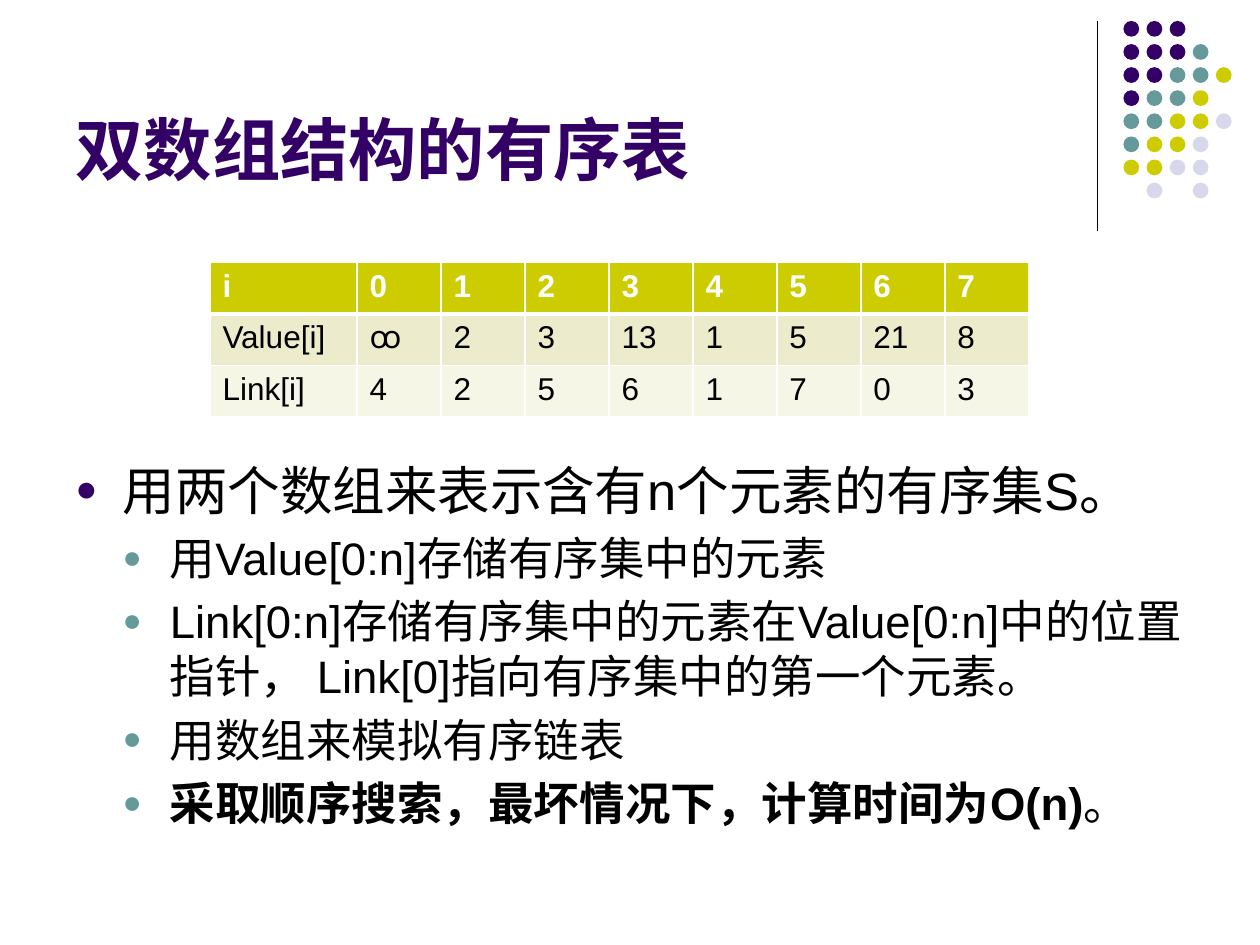
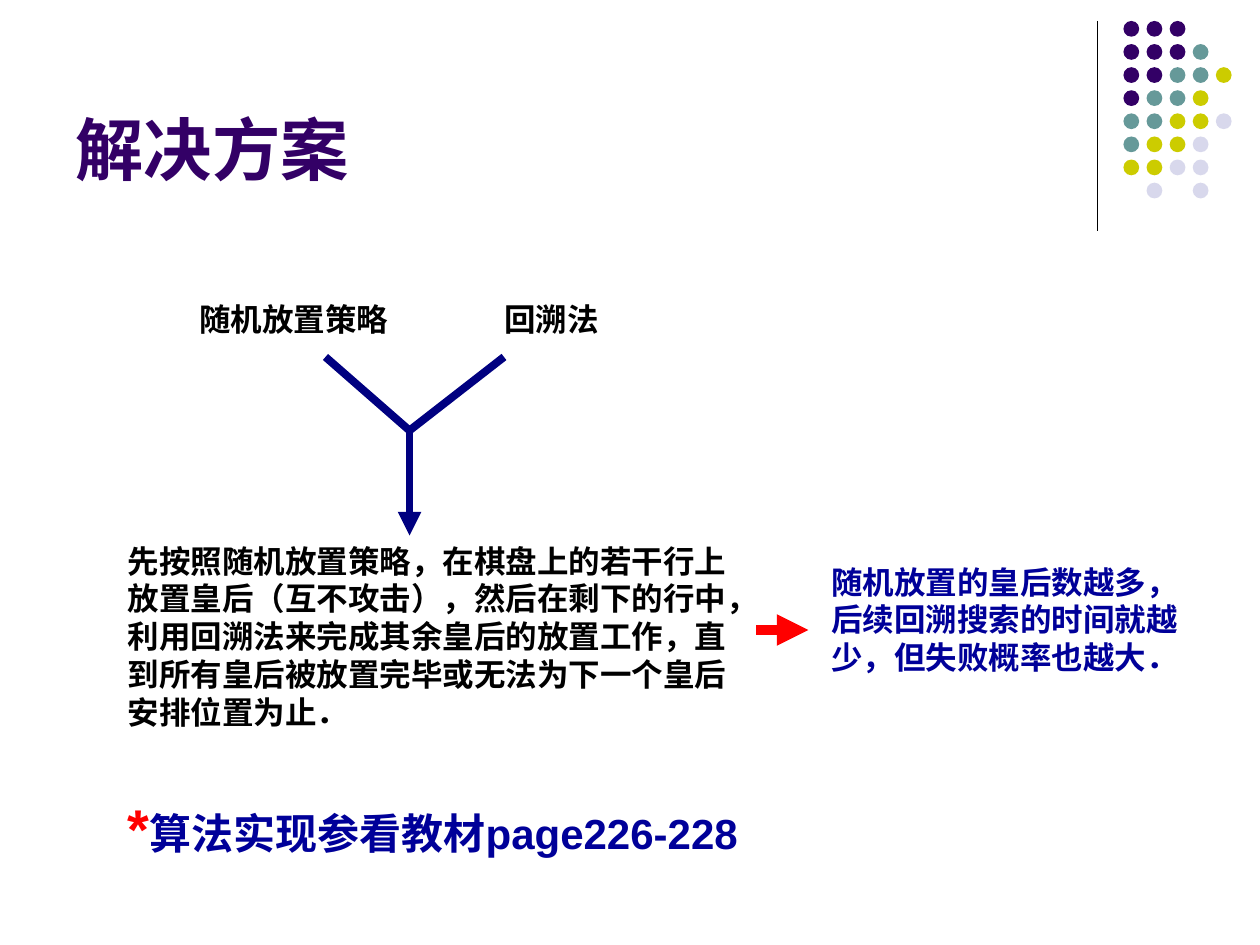
import pptx
import pptx.util
import pptx.dml.color
import pptx.enum.lang
import pptx.enum.shapes
import pptx.enum.text
import pptx.oxml.ns
import pptx.oxml.xmlchemy

RGB = pptx.dml.color.RGBColor
PURPLE = RGB(0x33, 0x00, 0x66)
TEAL = RGB(0x66, 0x99, 0x99)
OLIVE = RGB(0xCC, 0xCC, 0x00)
LILAC = RGB(0xD8, 0xD8, 0xEC)
VALUE_FILL = RGB(0xEC, 0xEC, 0xCC)
LINK_FILL = RGB(0xF6, 0xF6, 0xE7)
NAVY = RGB(0x00, 0x00, 0x80)
BLUE = RGB(0x00, 0x00, 0x99)
RED = RGB(0xFF, 0x00, 0x00)
BLACK = RGB(0x00, 0x00, 0x00)
WHITE = RGB(0xFF, 0xFF, 0xFF)

FONT = "Arial"
ALIGN = pptx.enum.text.PP_ALIGN
DOT_COLORS = {"P": PURPLE, "T": TEAL, "O": OLIVE, "L": LILAC}
DOT_ROWS = ["PPP", "PPPT", "PPTTO", "PTTO", "TTOOL", "TOOL", "OOLL", " L L"]


def px(n):
    """120 px to the inch."""
    return pptx.util.Emu(n * 7620)


def add_child(parent, tag, **attrs):
    child = pptx.oxml.xmlchemy.OxmlElement(tag)
    for name, value in attrs.items():
        child.set(name, str(value))
    parent.append(child)
    return child


def add_run(p, text, size, color=BLACK, bold=False):
    r = p.add_run()
    r.text = text
    r.font.name = FONT
    r.font.size = pptx.util.Pt(size)
    r.font.bold = bold
    r.font.color.rgb = color
    r.font.language_id = pptx.enum.lang.MSO_LANGUAGE_ID.SIMPLIFIED_CHINESE


def add_text(s, box, runs, align=ALIGN.LEFT):
    tf = s.shapes.add_textbox(*map(px, box)).text_frame
    tf.word_wrap = True
    p = tf.paragraphs[0]
    p.alignment = align
    for run in runs:
        add_run(p, *run)


def add_line(s, start, end, color, width, arrow=False):
    c = s.shapes.add_connector(pptx.enum.shapes.MSO_CONNECTOR.STRAIGHT,
                               *map(px, start + end))
    c.line.color.rgb = color
    c.line.width = pptx.util.Pt(width)
    sp_pr = c._element.spPr
    if arrow:
        add_child(sp_pr.find(pptx.oxml.ns.qn("a:ln")), "a:tailEnd",
                  type="triangle")
    add_child(sp_pr, "a:effectLst")


def add_dots(s, left, top, size=15, pitch=22):
    group = s.shapes.add_group_shape()
    for row, keys in enumerate(DOT_ROWS):
        for col, key in enumerate(keys):
            if key == " ":
                continue
            dot = group.shapes.add_shape(
                pptx.enum.shapes.MSO_SHAPE.OVAL, px(left + col * pitch),
                px(top + row * pitch), px(size), px(size))
            dot.shadow.inherit = False
            dot.fill.solid()
            dot.fill.fore_color.rgb = DOT_COLORS[key]
            dot.line.fill.background()


def add_titled_slide(prs, title):
    s = prs.slides.add_slide(prs.slide_layouts[5])
    # Corner decoration
    add_line(s, (1045, 20), (1045, 220), BLACK, 0.75)
    add_dots(s, 1070, 20)
    # Title
    sp = s.shapes.title
    sp.left, sp.top, sp.width, sp.height = map(px, (60, 16, 990, 170))
    tf = sp.text_frame
    tf.auto_size = pptx.enum.text.MSO_AUTO_SIZE.NONE
    tf.vertical_anchor = pptx.enum.text.MSO_ANCHOR.BOTTOM
    tf.paragraphs[0].alignment = ALIGN.LEFT
    add_run(tf.paragraphs[0], title, 39, PURPLE, True)
    return s


def set_borders(cell, widths):
    tc_pr = cell._tc.get_or_add_tcPr()
    for side, width in zip("LRTB", widths):
        ln = add_child(tc_pr, "a:ln" + side, w=pptx.util.Pt(width))
        add_child(add_child(ln, "a:solidFill"), "a:srgbClr", val=WHITE)


def add_array_table(s, left, top, rows, label_w=140, col_w=80, row_h=49):
    fills = [OLIVE, VALUE_FILL, LINK_FILL]
    n_cols = len(rows[0])
    table = s.shapes.add_table(
        len(rows), n_cols, px(left), px(top),
        px(label_w + col_w * (n_cols - 1)), px(row_h * len(rows))).table
    for i, column in enumerate(table.columns):
        column.width = px(col_w if i else label_w)
    for i, values in enumerate(rows):
        header = i == 0
        table.rows[i].height = px(row_h)
        for j, value in enumerate(values):
            cell = table.cell(i, j)
            set_borders(cell, (1, 1, 3 if i == 1 else 1, 3 if header else 1))
            cell.fill.solid()
            cell.fill.fore_color.rgb = fills[i]
            add_run(cell.text_frame.paragraphs[0], value, 18,
                    WHITE if header else BLACK, header)


def add_bullets(s, box, items):
    tf = s.shapes.add_textbox(*map(px, box)).text_frame
    tf.word_wrap = True
    for i, (level, runs) in enumerate(items):
        p = tf.paragraphs[0] if i == 0 else tf.add_paragraph()
        size, color = [(30, PURPLE), (26, TEAL)][level]
        p.level = level
        p.space_before = pptx.util.Pt(size * 0.2)
        p_pr = p._p.get_or_add_pPr()
        p_pr.set("marL", str(px(45 * (level + 1))))
        p_pr.set("indent", str(px(-45)))
        add_child(add_child(p_pr, "a:buClr"), "a:srgbClr", val=color)
        add_child(p_pr, "a:buSzPct", val=70000)
        add_child(p_pr, "a:buFont", typeface=FONT)
        add_child(p_pr, "a:buChar", char="●")
        for text, bold in runs:
            add_run(p, text, size, BLACK, bold)


def add_merge_diagram(s, left, top):
    """Two strategies that join into one combined method."""
    add_text(s, (left + 50, top, 240, 48),
             [("随机放置策略", 18, BLACK, True)], ALIGN.CENTER)
    add_text(s, (left + 340, top, 150, 48),
             [("回溯法", 18, BLACK, True)], ALIGN.CENTER)
    joint = (left + 280, top + 130)
    add_line(s, (left + 200, top + 60), joint, NAVY, 4.5)
    add_line(s, joint, (left + 370, top + 60), NAVY, 4.5)
    add_line(s, joint, (left + 280, top + 230), NAVY, 4.5, True)
    add_text(s, (left, top + 230, 610, 192), [(
        "先按照随机放置策略，在棋盘上的若干行上放置皇后（互不攻击），"
        "然后在剩下的行中，利用回溯法来完成其余皇后的放置工作，"
        "直到所有皇后被放置完毕或无法为下一个皇后安排位置为止．",
        18, BLACK, True)])


def build_ordered_list(prs):
    s = add_titled_slide(prs, "双数组结构的有序表")
    add_bullets(s, (60, 430, 1080, 374), [
        (0, [("用两个数组来表示含有n个元素的有序集S。", False)]),
        (1, [("用Value[0:n]存储有序集中的元素", False)]),
        (1, [("Link[0:n]存储有序集中的元素在Value[0:n]中的位置指针， "
              "Link[0]指向有序集中的第一个元素。", False)]),
        (1, [("用数组来模拟有序链表", False)]),
        (1, [("采取顺序搜索，最坏情况下，计算时间为O(n)", True), ("。", False)]),
    ])
    add_array_table(s, 200, 250, [
        ["i", "0", "1", "2", "3", "4", "5", "6", "7"],
        ["Value[i]", "ꝏ", "2", "3", "13", "1", "5", "21", "8"],
        ["Link[i]", "4", "2", "5", "6", "1", "7", "0", "3"],
    ])


def build_solution(prs):
    s = add_titled_slide(prs, "解决方案")
    add_merge_diagram(s, 110, 280)
    # Consequence
    add_line(s, (720, 600), (770, 600), RED, 6, True)
    add_text(s, (780, 530, 370, 120), [(
        "随机放置的皇后数越多，后续回溯搜索的时间就越少，但失败概率也越大．",
        18, BLUE, True)])
    # Textbook reference
    add_text(s, (110, 750, 890, 76), [
        ("*", 32, RED, True),
        ("算法实现参看教材page226-228", 24, BLUE, True)])


def main():
    prs = pptx.Presentation()
    prs.slide_width, prs.slide_height = px(1200), px(900)
    build_ordered_list(prs)
    build_solution(prs)
    prs.save("out.pptx")


if __name__ == "__main__":
    main()
